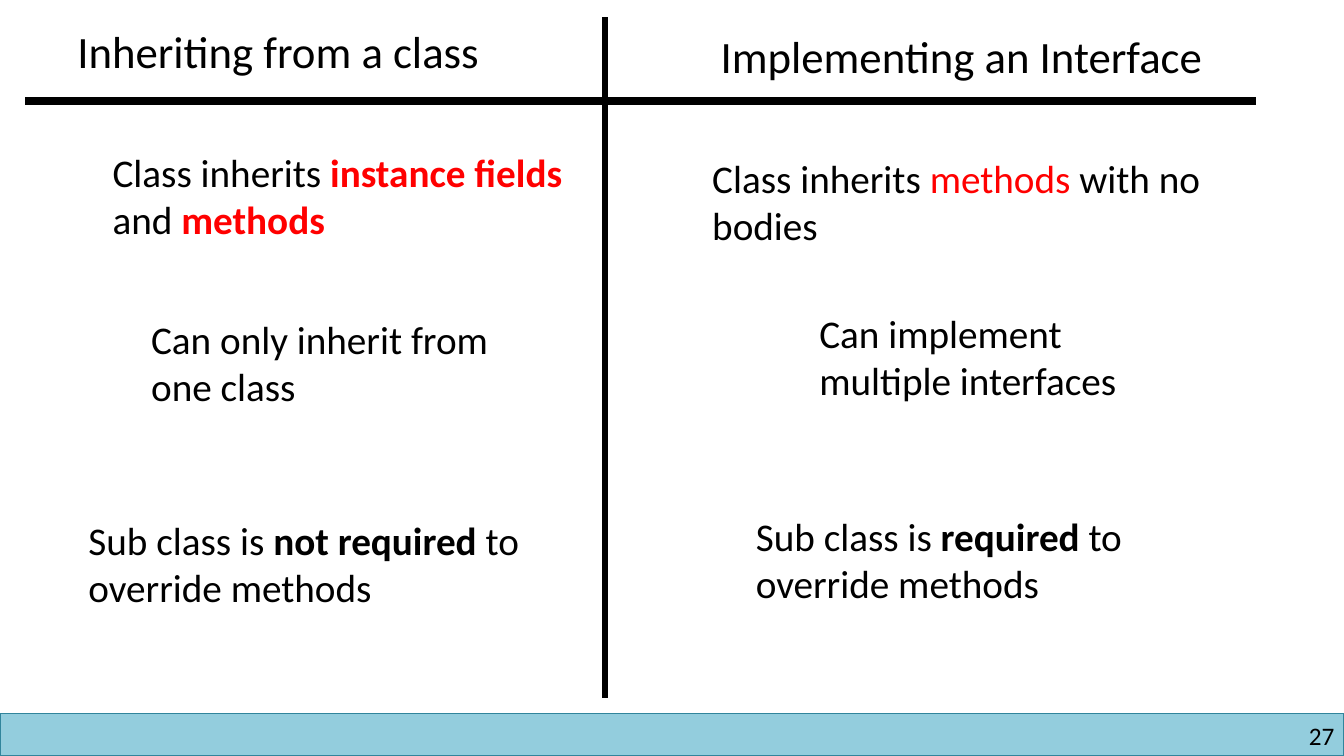
from pptx import Presentation
from pptx.dml.color import RGBColor
from pptx.enum.shapes import MSO_CONNECTOR, MSO_SHAPE
from pptx.enum.text import MSO_AUTO_SIZE, PP_ALIGN
from pptx.oxml.ns import qn
from pptx.util import Cm, Pt
from lxml import etree

STRAIGHT = MSO_CONNECTOR.STRAIGHT
RECTANGLE = MSO_SHAPE.RECTANGLE
GROW = MSO_AUTO_SIZE.SHAPE_TO_FIT_TEXT
LEFT, RIGHT = PP_ALIGN.LEFT, PP_ALIGN.RIGHT

BLACK = RGBColor(0x00, 0x00, 0x00)
RED = RGBColor(0xFF, 0x00, 0x00)
FOOTER_FILL = RGBColor(0x93, 0xCD, 0xDD)
FOOTER_LINE = RGBColor(0x31, 0x85, 0x9C)

SLIDE_WIDTH, SLIDE_HEIGHT = 33.87, 19.05
FOOTER_TOP = 17.98
HEADING_HEIGHT, POINT_HEIGHT = 1.62, 2.65


class ComparisonSlide:
    font = "Calibri"
    heading_size = 32
    point_size = 28
    number_size = 18

    def __init__(self, slide):
        self.slide = slide

    def bar(self, left, top, width, height):
        shape = self.slide.shapes.add_shape(
            RECTANGLE, Cm(left), Cm(top), Cm(width), Cm(height))
        shape.shadow.inherit = False
        shape.fill.solid()
        shape.fill.fore_color.rgb = FOOTER_FILL
        shape.line.color.rgb = FOOTER_LINE
        shape.line.width = Pt(1)

    def rule(self, x1, y1, x2, y2, weight):
        connector = self.slide.shapes.add_connector(
            STRAIGHT, Cm(x1), Cm(y1), Cm(x2), Cm(y2))
        connector.line.color.rgb = BLACK
        connector.line.width = Pt(weight)
        etree.SubElement(connector._element.spPr, qn("a:effectLst"))

    def text(self, left, top, width, height, parts, size, wrap=True, align=LEFT):
        """Each part is (text, colour, bold)."""
        box = self.slide.shapes.add_textbox(
            Cm(left), Cm(top), Cm(width), Cm(height))
        frame = box.text_frame
        frame.word_wrap = wrap
        frame.auto_size = GROW
        paragraph = frame.paragraphs[0]
        paragraph.alignment = align
        for wording, colour, bold in parts:
            run = paragraph.add_run()
            run.text = wording
            run.font.name = self.font
            run.font.size = Pt(size)
            run.font.bold = bold
            run.font.color.rgb = colour
        return frame

    def heading(self, left, top, width, wording):
        self.text(left, top, width, HEADING_HEIGHT,
                  [(wording, BLACK, False)], self.heading_size, wrap=False)

    def point(self, left, top, width, parts):
        self.text(left, top, width, POINT_HEIGHT, parts, self.point_size)

    def page_number(self, left, top, width, height, number):
        frame = self.text(left, top, width, height, [(number, BLACK, False)],
                          self.number_size, align=RIGHT)
        frame.margin_left = frame.margin_right = 0
        frame.margin_top = frame.margin_bottom = 0


def main():
    presentation = Presentation()
    presentation.slide_width = Cm(SLIDE_WIDTH)
    presentation.slide_height = Cm(SLIDE_HEIGHT)
    blank_layout = presentation.slide_layouts[6]
    comparison = ComparisonSlide(presentation.slides.add_slide(blank_layout))

    # Footer
    comparison.bar(0, FOOTER_TOP, SLIDE_WIDTH, SLIDE_HEIGHT - FOOTER_TOP)
    comparison.page_number(25.83, 18.16, 7.8, 0.76, "27")

    # Column headings
    comparison.heading(1.7, 0.48, 11.63, "Inheriting from a class")
    comparison.heading(17.91, 0.61, 13.67, "Implementing an Interface")

    # Dividing lines
    comparison.rule(15.24, 0.43, 15.24, 17.58, 4.5)
    comparison.rule(0.64, 2.54, 31.65, 2.54, 6)

    # Compared points: left, top, width, parts
    points = [
        (2.59, 3.61, 12.5, [("Class inherits ", BLACK, False),
                            ("instance fields", RED, True),
                            (" and ", BLACK, False),
                            ("methods", RED, True)]),
        (17.7, 3.76, 14.25, [("Class inherits ", BLACK, False),
                             ("methods", RED, False),
                             (" with no bodies", BLACK, False)]),
        (3.56, 7.82, 9.32, [("Can only inherit from one class", BLACK, False)]),
        (20.4, 7.67, 9.32, [("Can implement multiple interfaces", BLACK, False)]),
    ]
    for left, top, duty in [(1.98, 12.88, "not required"),
                            (18.8, 12.78, "required")]:
        points.append((left, top, 12.07, [("Sub class is ", BLACK, False),
                                          (duty, BLACK, True),
                                          (" to override methods", BLACK, False)]))
    for point in points:
        comparison.point(*point)

    presentation.save("out.pptx")


if __name__ == "__main__":
    main()
